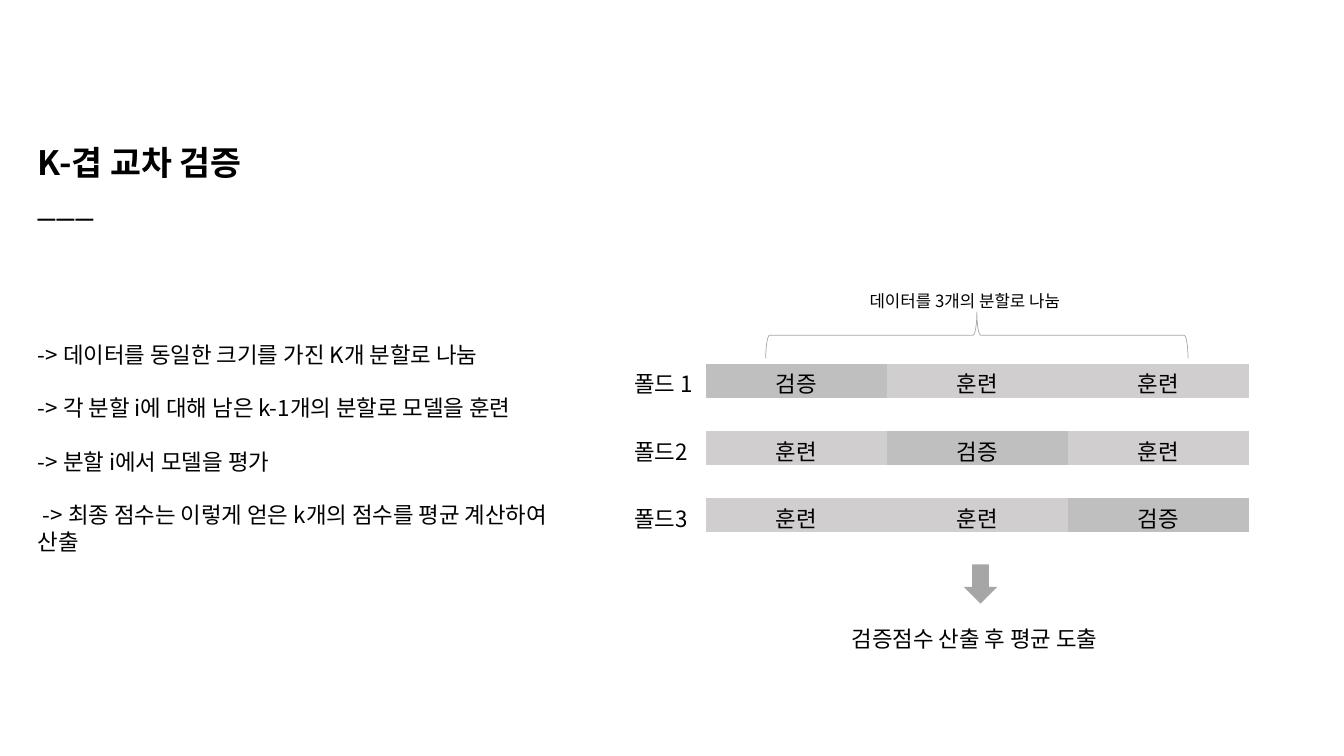
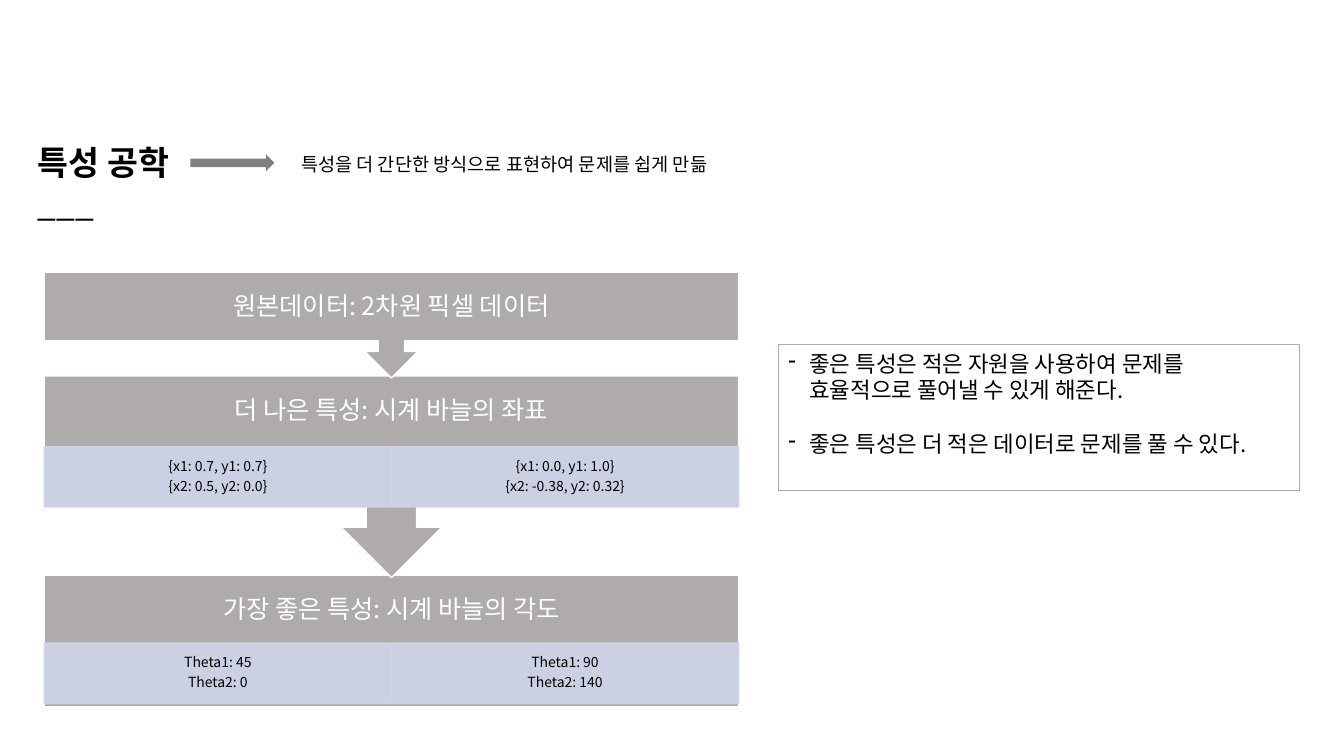
from dataclasses import dataclass

from lxml.etree import SubElement
from pptx import Presentation
from pptx.dml.color import RGBColor
from pptx.enum.shapes import MSO_SHAPE as Preset
from pptx.enum.text import MSO_ANCHOR as Anchor, PP_ALIGN as Align
from pptx.oxml.ns import qn
from pptx.util import Inches, Pt

COLUMNS, ROWS = 48, 27
SLIDE_WIDTH, SLIDE_HEIGHT = Inches(13.333), Inches(7.5)
PLAIN_TABLE_STYLE = "{2D5ABB26-0587-4C30-8999-92F81FD0307C}"


@dataclass(frozen=True)
class Theme:
    font: str = "Noto Sans CJK KR"
    ink: str = "000000"
    paper: str = "FFFFFF"
    stage: str = "AFABAB"
    cell: str = "CFD5EA"
    validation: str = "BFBFBF"
    training: str = "D0CECE"
    fold_mark: str = "A6A6A6"
    title_arrow: str = "808080"
    title_size: float = 24
    heading_size: float = 18
    body_size: float = 16
    note_size: float = 13.3
    caption_size: float = 12
    cell_size: float = 10


THEME = Theme()


def across(columns):
    return round(SLIDE_WIDTH * columns / COLUMNS)


def down(rows):
    return round(SLIDE_HEIGHT * rows / ROWS)


def place(left, top, width, height):
    """Turn grid columns and rows into slide lengths."""
    return across(left), down(top), across(width), down(height)


def set_margins(holder, horizontal, vertical):
    holder.margin_left = holder.margin_right = Inches(horizontal)
    holder.margin_top = holder.margin_bottom = Inches(vertical)


def add_dash_bullet(paragraph):
    properties = paragraph._p.get_or_add_pPr()
    indent = Inches(0.21)
    properties.set("marL", str(indent))
    properties.set("indent", str(-indent))
    SubElement(properties, qn("a:buChar"), char="-")


def set_font(paragraph, size, color, bold=False):
    font = paragraph.font
    font.name, font.size, font.bold = THEME.font, Pt(size), bold
    font.color.rgb = RGBColor.from_string(color)
    defaults = paragraph._p.pPr.find(qn("a:defRPr"))
    SubElement(defaults, qn("a:ea"), typeface=THEME.font)


def write(frame, lines, size, color=THEME.ink, align=Align.LEFT, gap=0,
          line_spacing=None, bullets=False):
    """Write one paragraph a line, with a gap in points between them."""
    frame.word_wrap = True
    for index, line in enumerate(lines):
        paragraph = frame.add_paragraph() if index else frame.paragraphs[0]
        paragraph.text = line
        paragraph.alignment = align
        paragraph.line_spacing = line_spacing
        if index and gap:
            paragraph.space_before = Pt(gap)
        if bullets:
            add_dash_bullet(paragraph)
        set_font(paragraph, size, color)


def add_text(slide, box, lines, size=THEME.body_size, **style):
    frame = slide.shapes.add_textbox(*place(*box)).text_frame
    write(frame, lines, size, **style)
    return frame


def set_alpha(color_format_owner, percent):
    for color in color_format_owner.iter(qn("a:srgbClr")):
        SubElement(color, qn("a:alpha"), val=str(percent * 1000))


def add_preset(slide, preset, box, fill=None, line=None, line_width=1):
    shape = slide.shapes.add_shape(preset, *place(*box))
    shape.shadow.inherit = False
    if fill:
        shape.fill.solid()
        shape.fill.fore_color.rgb = RGBColor.from_string(fill)
    else:
        shape.fill.background()
    if line:
        shape.line.color.rgb = RGBColor.from_string(line)
        shape.line.width = Pt(line_width)
    else:
        shape.line.fill.background()
    return shape


def add_title(slide, title, width):
    frame = add_text(slide, (1, 4.9, width, 3.28), [title, "___"], THEME.title_size)
    frame.paragraphs[0].font.bold = True


def add_plain_table(slide, box, rows, fills, align):
    """Add a table without grid lines; None leaves a cell empty."""
    row_count, column_count = len(rows), len(rows[0])
    frame = slide.shapes.add_table(row_count, column_count, *place(*box))
    table = frame.table
    table.first_row = table.horz_banding = False
    table._tbl.tblPr.find(qn("a:tableStyleId")).text = PLAIN_TABLE_STYLE
    for row_index, row in enumerate(rows):
        for column_index, text in enumerate(row):
            cell = table.cell(row_index, column_index)
            if text in fills:
                cell.fill.solid()
                cell.fill.fore_color.rgb = RGBColor.from_string(fills[text])
            else:
                cell.fill.background()
            if text is None:
                set_margins(cell, 0, 0)
            else:
                set_margins(cell, 0.07, 0.03)
                write(cell.text_frame, [text], THEME.body_size, align=align)


def with_gap_rows(rows):
    """Put an empty row between every two rows."""
    spaced = []
    for row in rows:
        spaced += [row, [None] * len(row)]
    return spaced[:-1]


def add_stage(slide, preset, top, height, heading, cells=(), cells_offset=0):
    left, width, heading_height = 1.58, 24.8, 2.5
    add_preset(slide, preset, (left, top, width, height), THEME.stage, THEME.paper)
    frame = add_text(slide, (left, top, width, heading_height), [heading],
                     THEME.heading_size, color=THEME.paper, align=Align.CENTER,
                     line_spacing=0.9)
    frame.vertical_anchor = Anchor.MIDDLE
    set_margins(frame, 0.14, 0.14)
    for index, lines in enumerate(cells):
        cell_width = width / len(cells)
        box = (left + index * cell_width, top + cells_offset, cell_width, 2.16)
        shape = add_preset(slide, Preset.RECTANGLE, box, THEME.cell, THEME.cell)
        set_alpha(shape._element.spPr, 90)
        set_margins(shape.text_frame, 0.08, 0.01)
        write(shape.text_frame, lines, THEME.cell_size, align=Align.CENTER,
              gap=3.5, line_spacing=0.9)


def build_cross_validation(slide):
    add_title(slide, "K-겹 교차 검증", 13.8)
    add_text(slide, (1, 12, 20, 8.14), [
        "-> 데이터를 동일한 크기를 가진 K개 분할로 나눔",
        "-> 각 분할 i에 대해 남은 k-1개의 분할로 모델을 훈련",
        "-> 분할 i에서 모델을 평가",
        " -> 최종 점수는 이렇게 얻은 k개의 점수를 평균 계산하여 산출",
    ], gap=19)

    validation, training = "검증", "훈련"
    folds = [[validation if split == fold else training for split in range(3)]
             for fold in range(3)]
    add_plain_table(slide, (25.2, 13, 19.4, 6), with_gap_rows(folds),
                    {validation: THEME.validation, training: THEME.training},
                    Align.CENTER)
    brace = add_preset(slide, Preset.RIGHT_BRACE, (34.06, 4.43, 1.66, 15.08),
                       line=THEME.fold_mark, line_width=0.5)
    brace.rotation = 270
    add_text(slide, (30.7, 10.19, 8.4, 1.08), ["데이터를 3개의 분할로 나눔"],
             THEME.caption_size)
    labels = [["폴드 1"], ["폴드2"], ["폴드3"]]
    add_plain_table(slide, (22.4, 13, 3.2, 6), with_gap_rows(labels), {}, Align.LEFT)
    add_preset(slide, Preset.DOWN_ARROW, (34.42, 20.16, 1.2, 1.4), THEME.fold_mark)
    add_text(slide, (30.06, 22.14, 12.2, 1.33), ["검증점수 산출 후 평균 도출"])


def build_feature_engineering(slide):
    add_title(slide, "특성 공학", 19.6)
    # Later stages go behind, so each arrow tip lies over the next stage.
    add_stage(slide, Preset.RECTANGLE, 20.56, 4.68, "가장 좋은 특성: 시계 바늘의 각도",
              [["Theta1: 45", "Theta2: 0"], ["Theta1: 90", "Theta2: 140"]], 2.41)
    add_stage(slide, Preset.DOWN_ARROW_CALLOUT, 13.43, 7.2,
              "더 나은 특성: 시계 바늘의 좌표",
              [["{x1: 0.7, y1: 0.7}", "{x2: 0.5, y2: 0.0}"],
               ["{x1: 0.0, y1: 1.0}", "{x2: -0.38, y2: 0.32}"]], 2.52)
    add_stage(slide, Preset.DOWN_ARROW_CALLOUT, 9.72, 3.78,
              "원본데이터: 2차원 픽셀 데이터")

    add_preset(slide, Preset.RIGHT_ARROW, (6.8, 5.51, 3, 0.61), THEME.title_arrow)
    add_text(slide, (10.4, 5.29, 16.6, 1.98),
             ["특성을 더 간단한 방식으로 표현하여 문제를 쉽게 만듦"], THEME.note_size)
    benefits = add_preset(slide, Preset.RECTANGLE, (27.8, 12.31, 18.6, 5.22),
                          line=THEME.stage, line_width=0.75)
    benefits.text_frame.vertical_anchor = Anchor.TOP
    write(benefits.text_frame, [
        "좋은 특성은 적은 자원을 사용하여 문제를 효율적으로 풀어낼 수 있게 해준다.",
        "좋은 특성은 더 적은 데이터로 문제를 풀 수 있다.",
    ], THEME.body_size, gap=19, bullets=True)


def main():
    presentation = Presentation()
    presentation.slide_width, presentation.slide_height = SLIDE_WIDTH, SLIDE_HEIGHT
    blank = presentation.slide_layouts[6]
    for build in (build_cross_validation, build_feature_engineering):
        build(presentation.slides.add_slide(blank))
    presentation.save("out.pptx")


if __name__ == "__main__":
    main()
